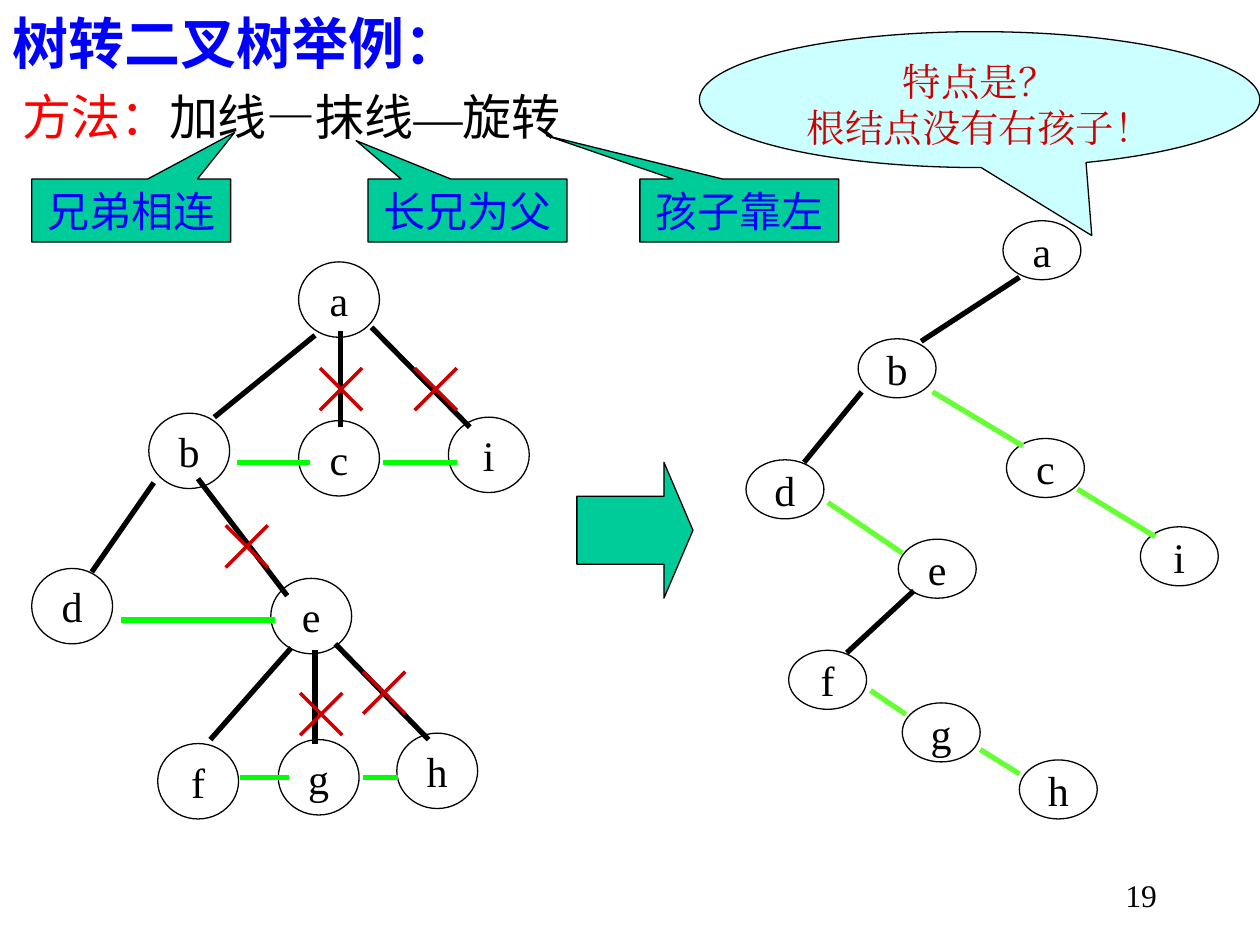
from lxml.etree import SubElement
from pptx import Presentation
from pptx.dml.color import RGBColor
from pptx.enum.shapes import MSO_CONNECTOR, MSO_SHAPE
from pptx.enum.text import MSO_ANCHOR, PP_ALIGN
from pptx.oxml.ns import qn
from pptx.util import Cm, Pt

SANS, SERIF = "Noto Sans CJK SC", "Times New Roman"
BLACK, WHITE, BLUE, RED = "000000", "FFFFFF", "0000FF", "CC0000"
TEAL, GREEN, LIME = "00CC99", "00FF00", "66FF33"


def add_run(paragraph, text, size, font, color, bold=False):
    run = paragraph.add_run()
    run.text = text
    run.font.size = Pt(size)
    run.font.name = font
    run.font.bold = bold
    run.font.color.rgb = RGBColor.from_string(color)
    # East Asian characters take their font from a:ea
    SubElement(run.font._element, qn("a:ea")).set("typeface", font)


def add_outlined(preset, box, fill=None, adjustments=()):
    shape = slide.shapes.add_shape(preset, *map(Cm, box))
    shape.shadow.inherit = False
    if fill:
        shape.fill.solid()
        shape.fill.fore_color.rgb = RGBColor.from_string(fill)
    else:
        shape.fill.background()
    shape.line.color.rgb = RGBColor.from_string(BLACK)
    shape.line.width = Pt(0.75)
    for index, value in enumerate(adjustments):
        shape.adjustments[index] = value
    shape.text_frame.word_wrap = True
    shape.text_frame.vertical_anchor = MSO_ANCHOR.TOP
    shape.text_frame.paragraphs[0].alignment = PP_ALIGN.CENTER
    return shape


prs = Presentation()
prs.slide_width, prs.slide_height = Cm(25.4), Cm(19.05)
slide = prs.slides.add_slide(prs.slide_layouts[6])

# Title
title = slide.shapes.add_textbox(Cm(0), Cm(0.05), Cm(9.73), Cm(1.6)).text_frame
title.word_wrap = True
title.vertical_anchor = MSO_ANCHOR.MIDDLE
add_run(title.paragraphs[0], "树转二叉树举例：", 32, SANS, BLUE, bold=True)

# Method line
method = slide.shapes.add_textbox(Cm(0.2), Cm(1.47), Cm(11.61), Cm(1.63)).text_frame
method.word_wrap = False
for text, size, font, color in [
    ("方法：", 28, SANS, "FF0000"),
    ("加线—抹线", 28, SANS, BLACK),
    ("—", 28, SERIF, BLACK),
    ("旋转", 28, SANS, BLACK),
    (" ", 32, SANS, BLACK),
]:
    add_run(method.paragraphs[0], text, size, font, color)

# Nodes of the tree (left) and of the binary tree (right)
tree = {
    "a": (6.02, 5.28), "b": (3, 8.33), "c": (6.02, 8.48),
    "i": (9.04, 8.41), "d": (0.64, 11.46), "e": (5.46, 11.66),
    "f": (3.18, 14.99), "g": (5.61, 14.91), "h": (8, 14.78),
}
binary_tree = {
    "a": (20.22, 4.45), "b": (17.3, 6.83), "c": (20.29, 8.84),
    "i": (22.99, 10.62), "d": (15.04, 9.27), "e": (18.11, 10.87),
    "f": (15.9, 13.11), "g": (18.19, 14.17), "h": (20.55, 15.32),
}
for nodes, size, fill in [(tree, (1.63, 1.52), None),
                          (binary_tree, (1.57, 1.19), WHITE)]:
    for letter, corner in nodes.items():
        node = add_outlined(MSO_SHAPE.OVAL, corner + size, fill).text_frame
        node.word_wrap = False
        node.vertical_anchor = MSO_ANCHOR.MIDDLE
        add_run(node.paragraphs[0], letter, 24, SERIF, BLACK)

# Edges: parent links, sibling links and crossed-out links
parent_links = [
    (6.35, 6.76, 4.32, 8.41), (6.86, 6.68, 6.86, 8.61), (7.49, 6.6, 9.47, 8.61),
    (3.1, 9.73, 1.85, 11.53), (3.99, 9.65, 5.79, 12.01),
    (5.87, 13.06, 4.24, 14.91), (6.35, 13.11, 6.35, 14.99),
    (6.76, 12.98, 8.64, 14.91),
    (20.55, 5.59, 18.57, 6.88), (17.37, 7.9, 16.21, 9.32),
    (18.42, 11.91, 17.07, 13.16),
]
sibling_links = [
    (4.78, 9.32, 6.25, 9.32), (7.72, 9.32, 9.22, 9.32),
    (2.44, 12.5, 5.54, 12.5),
    (4.83, 15.67, 5.82, 15.67), (7.32, 15.67, 8.03, 15.67),
]
right_links = [
    (18.8, 7.9, 20.62, 8.99), (21.72, 9.86, 23.29, 10.82),
    (16.69, 10.13, 18.19, 11.15),
    (17.55, 13.92, 18.26, 14.4), (19.76, 15.11, 20.55, 15.6),
]
CROSS = 0.85
crosses = []
for x, y in [(6.05, 13.97), (7.32, 13.54), (4.55, 10.59), (6.45, 7.42), (8.36, 7.42)]:
    crosses += [(x + CROSS, y, x, y + CROSS), (x, y, x + CROSS, y + CROSS)]

for links, color, width in [(parent_links, BLACK, 3), (sibling_links, GREEN, 3),
                            (right_links, LIME, 3), (crosses, RED, 2)]:
    for ends in links:
        link = slide.shapes.add_connector(MSO_CONNECTOR.STRAIGHT, *map(Cm, ends))
        link.line.color.rgb = RGBColor.from_string(color)
        link.line.width = Pt(width)
        SubElement(link._element.spPr, qn("a:effectLst"))

# Conversion arrow
add_outlined(MSO_SHAPE.RIGHT_ARROW, (11.63, 9.32, 2.34, 2.74), TEAL, (0.5, 0.25))

# Step callouts
for text, left, tip in [("兄弟相连", 0.64, (0.52, -1.24)),
                        ("长兄为父", 7.42, (-0.56, -1.11)),
                        ("孩子靠左", 12.9, (-0.97, -1.19))]:
    step = add_outlined(MSO_SHAPE.RECTANGULAR_CALLOUT, (left, 3.61, 4.01, 1.27), TEAL, tip)
    add_run(step.text_frame.paragraphs[0], text, 24, SANS, BLUE)

# Feature callout
feature = add_outlined(MSO_SHAPE.OVAL_CALLOUT, (14.1, 0.64, 11.3, 2.74),
                       "CCFFFF", (0.2, 1)).text_frame
question = feature.paragraphs[0]
answer = feature.add_paragraph()
answer.alignment = PP_ALIGN.CENTER
add_run(question, "特点是？", 22, SERIF, RED)
add_run(answer, "根结点没有右孩子！", 22, SERIF, RED)

# Page number
page_number = slide.shapes.add_textbox(Cm(18.29), Cm(17.53), Cm(5.28), Cm(1.27)).text_frame
page_number.word_wrap = True
page_number.paragraphs[0].alignment = PP_ALIGN.RIGHT
add_run(page_number.paragraphs[0], "19", 18, SERIF, BLACK)

prs.save("out.pptx")
